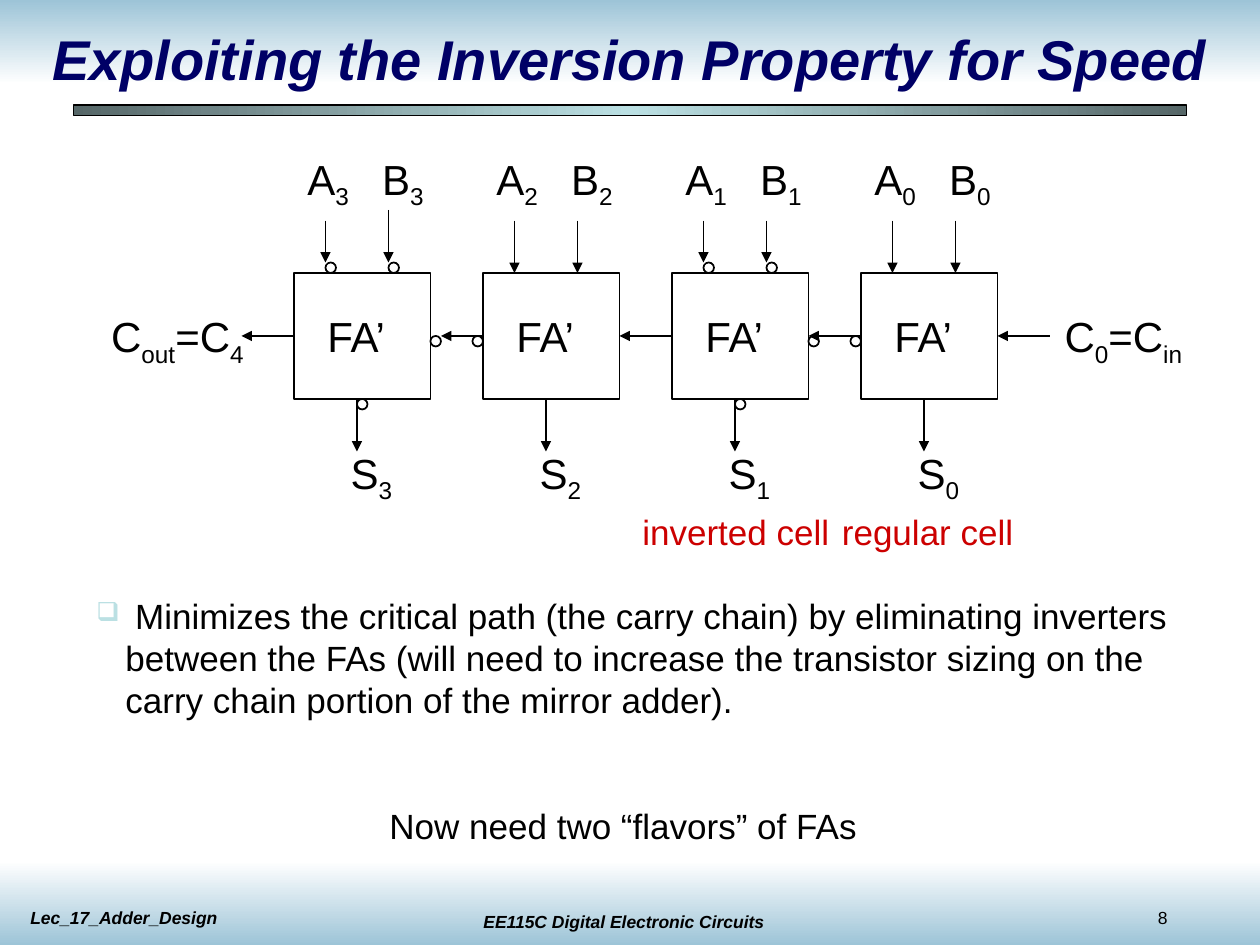
import copy

import pptx
import pptx.dml.color
import pptx.enum.shapes
import pptx.enum.text
import pptx.oxml
import pptx.oxml.ns
import pptx.util

RGBColor = pptx.dml.color.RGBColor
SHAPE = pptx.enum.shapes.MSO_SHAPE
ALIGN = pptx.enum.text.PP_ALIGN
ANCHOR = pptx.enum.text.MSO_ANCHOR
qn = pptx.oxml.ns.qn

BLACK = RGBColor(0, 0, 0)
WHITE = RGBColor(255, 255, 255)
NAVY = RGBColor(0x00, 0x00, 0x66)
RED = RGBColor(0xCC, 0x00, 0x00)
SKY = RGBColor(0x9D, 0xC4, 0xD7)
SLATE = RGBColor(0x56, 0x67, 0x68)
AQUA = RGBColor(0xBB, 0xE0, 0xE3)

COLS, ROWS = 120, 90
CELL_W, CELL_H, PITCH = 13, 12, 18
CELL_TOP, FIRST_LEFT = 26, 82
CARRY_ROW = CELL_TOP + CELL_H / 2


def grid(*units):
    """Turn grid columns or rows, twelve to the inch, into lengths."""
    return [pptx.util.Inches(u / 12) for u in units]


def shape(s, kind, x, y, w, h, line=1):
    sp = s.shapes.add_shape(kind, *grid(x, y, w, h))
    sp.shadow.inherit = False
    sp.fill.background()
    if line:
        sp.line.color.rgb = BLACK
        sp.line.width = pptx.util.Pt(line)
    else:
        sp.line.fill.background()
    return sp


def gradient_bar(s, x, y, w, h, colors, angle, line=0):
    """Draw a rectangle whose colours are spread evenly along the angle."""
    sp = shape(s, SHAPE.RECTANGLE, x, y, w, h, line)
    sp.fill.gradient()
    sp.fill.gradient_angle = angle
    stops = sp._element.spPr.find(".//" + qn("a:gsLst"))
    while len(stops) < len(colors):
        stops.append(copy.deepcopy(stops[0]))
    for i, (stop, color) in enumerate(zip(sp.fill.gradient_stops, colors)):
        stop.color.rgb = color
        stop.position = i / (len(colors) - 1)


def bubble(s, x, y):
    shape(s, SHAPE.OVAL, x, y, 1, 1)


def arrow(s, x1, y1, x2, y2):
    c = s.shapes.add_connector(pptx.enum.shapes.MSO_CONNECTOR.STRAIGHT,
                               *grid(x1, y1, x2, y2))
    c.line.color.rgb = BLACK
    c.line.width = pptx.util.Pt(1)
    ln = c.line._get_or_add_ln()
    ln.append(pptx.oxml.parse_xml(
        f'<a:tailEnd {pptx.oxml.ns.nsdecls("a")} type="triangle"/>'))
    c._element.spPr.append(pptx.oxml.parse_xml(
        f'<a:effectLst {pptx.oxml.ns.nsdecls("a")}/>'))


def add_bullet(p):
    pPr = p._p.get_or_add_pPr()
    indent = pptx.util.Inches(0.23)
    pPr.set("marL", str(indent))
    pPr.set("indent", str(-indent))
    ns = pptx.oxml.ns.nsdecls("a")
    for xml in (f'<a:buClr {ns}><a:srgbClr val="{AQUA}"/></a:buClr>',
                f'<a:buSzPct {ns} val="75000"/>',
                f'<a:buChar {ns} char="❑"/>'):
        pPr.append(pptx.oxml.parse_xml(xml))


def text(s, content, x, y, w, h, size=24, color=BLACK, strong=False,
         align=ALIGN.LEFT, anchor=ANCHOR.TOP, wrap=True, bullet=False):
    """Add a text box; every second part between bars is a subscript."""
    tf = s.shapes.add_textbox(*grid(x, y, w, h)).text_frame
    tf.word_wrap = wrap
    tf.vertical_anchor = anchor
    p = tf.paragraphs[0]
    p.alignment = align
    if bullet:
        add_bullet(p)
    for i, part in enumerate(content.split("|")):
        if not part:
            continue
        r = p.add_run()
        r.text = part
        r.font.name = "Arial"
        r.font.size = pptx.util.Pt(size)
        r.font.color.rgb = color
        r.font.bold = r.font.italic = strong
        if i % 2:
            r._r.get_or_add_rPr().set("baseline", "-25000")


def adder_cell(s, bit, carry_end):
    """Draw one full adder; odd bits are inverted cells with bubbles."""
    x = FIRST_LEFT - PITCH * bit
    inverted = bit % 2 == 1
    bottom = CELL_TOP + CELL_H
    shape(s, SHAPE.RECTANGLE, x, CELL_TOP, CELL_W, CELL_H)
    text(s, "FA’", x + 2, 29, 9, 6)
    for name, dx, row in (("A", 0.1, 14), ("B", 7.2, 14), ("S", 4.2, 42)):
        text(s, f"{name}|{bit}|", x + dx, row, 6.4, 6.7, wrap=False)
    for dx in (3, 9):
        start = 20 if (bit, dx) == (3, 9) else 21
        arrow(s, x + dx, start, x + dx, CELL_TOP - inverted)
    arrow(s, x + 6, bottom, x + 6, bottom + 5)
    arrow(s, x, CARRY_ROW, carry_end, CARRY_ROW)
    if inverted:
        for bx, by in ((x + 3, CELL_TOP - 1), (x + 9, CELL_TOP - 1),
                       (x + 6, bottom), (x + CELL_W, CARRY_ROW),
                       (x + PITCH - 1, CARRY_ROW)):
            bubble(s, bx, by)


def frame(s):
    """Draw the bands, the footer and the title with its rule."""
    gradient_bar(s, 0, 0, COLS, 8, (SKY, WHITE), 270)
    gradient_bar(s, 0, ROWS - 8, COLS, 8, (WHITE, SKY), 270)
    text(s, "EE115C Digital Electronic Circuits", 42.4, 86.2, 34, 3.2,
         size=10, strong=True, align=ALIGN.CENTER)
    text(s, "8", 109.1, 85.8, 10, 3.2, size=10)
    text(s, "Lec_17_Adder_Design", 1.7, 85.8, 34, 3.2, size=10, strong=True)
    gradient_bar(s, 7, 10, 106, 1, (SLATE, AQUA, SLATE), 0, line=0.75)
    text(s, "Exploiting the Inversion Property for Speed", 0, 2, COLS, 7,
         size=32, color=NAVY, strong=True, align=ALIGN.CENTER,
         anchor=ANCHOR.MIDDLE)


def main():
    prs = pptx.Presentation()
    prs.slide_width, prs.slide_height = grid(COLS, ROWS)
    s = prs.slides.add_slide(prs.slide_layouts[6])
    frame(s)
    for bit, carry_end in enumerate((77, 59, 42, 23)):
        adder_cell(s, bit, carry_end)
    arrow(s, 100, CARRY_ROW, 95, CARRY_ROW)
    text(s, "C|0|=C|in|", 100.2, 29, 13.6, 6.7, wrap=False)
    text(s, "C|out|=C|4|", 9.4, 29, 15, 6.7, wrap=False)
    text(s, "regular cell", 79, 48, 18.7, 5.3, size=20, color=RED, wrap=False)
    text(s, "inverted cell", 60, 48, 20.2, 5.3, size=20, color=RED, wrap=False)
    text(s, " Minimizes the critical path (the carry chain) by eliminating "
         "inverters between the FAs (will need to increase the transistor "
         "sizing on the carry chain portion of the mirror adder).",
         8, 56, 105, 13.2, size=20, bullet=True)
    text(s, "Now need two “flavors” of FAs", 35.9, 76, 47.2, 5.3,
         size=20, wrap=False)
    prs.save("out.pptx")


if __name__ == "__main__":
    main()
